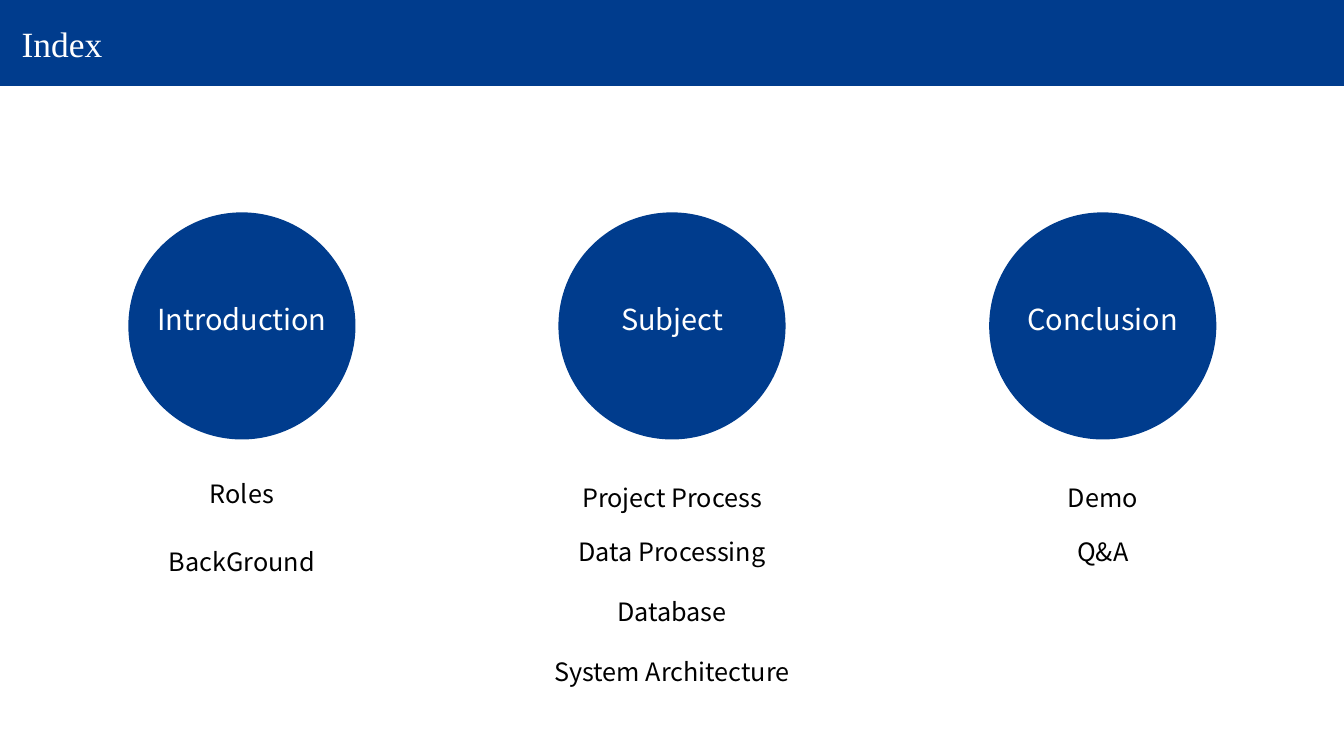
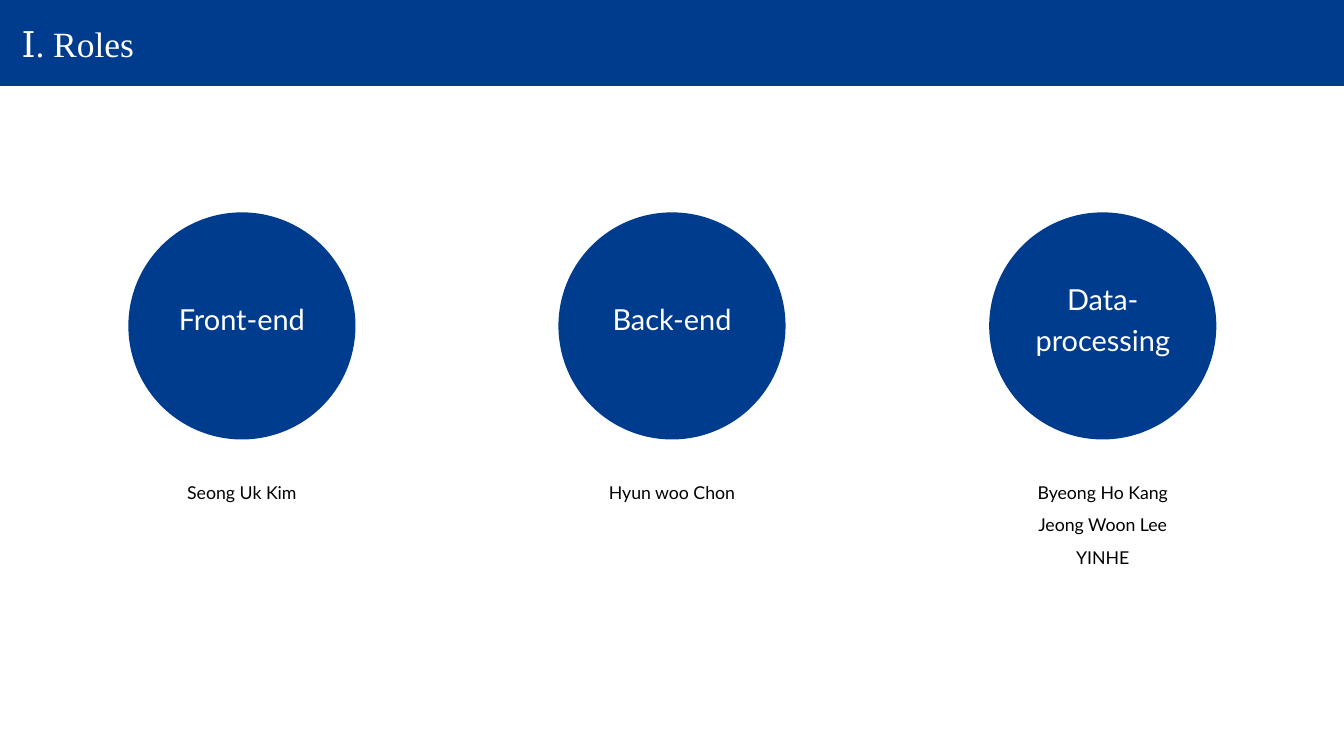
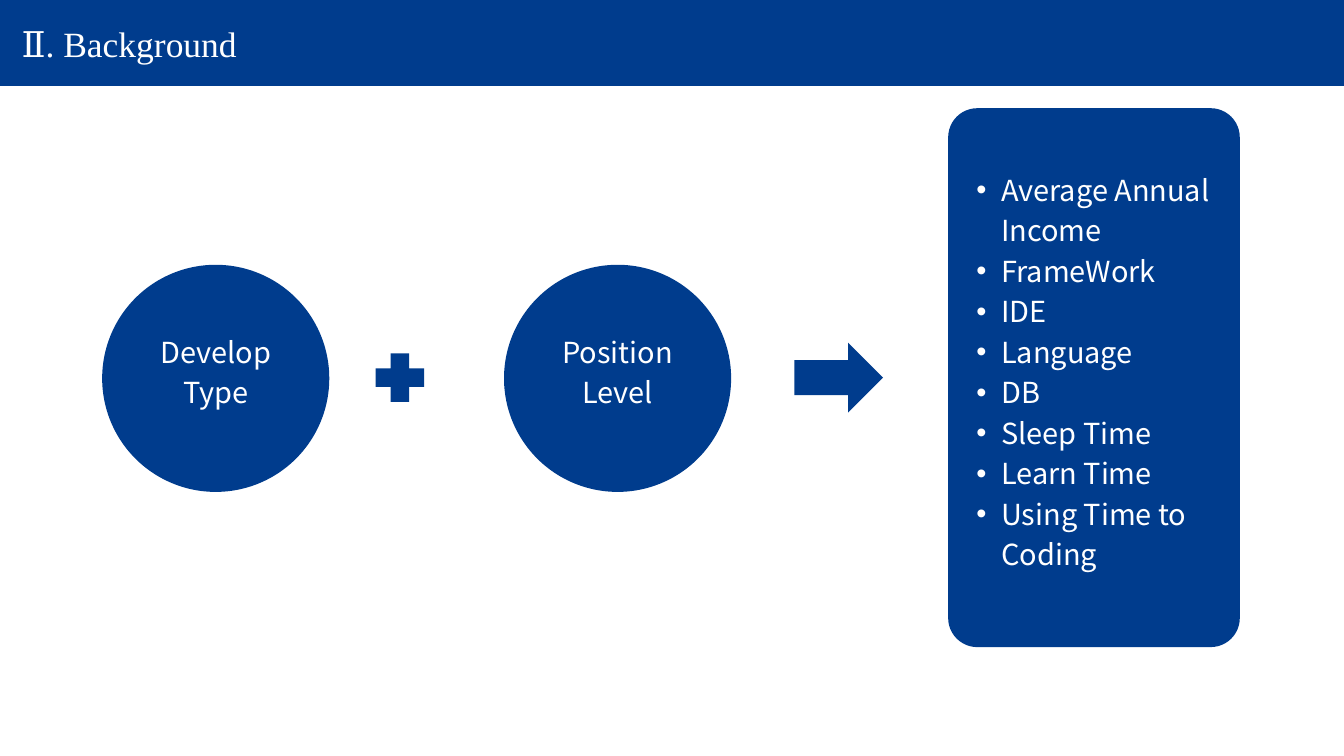
from dataclasses import dataclass

from lxml.etree import SubElement
from pptx import Presentation
from pptx.dml.color import RGBColor
from pptx.enum.shapes import MSO_SHAPE
from pptx.enum.text import MSO_ANCHOR, MSO_AUTO_SIZE, PP_ALIGN
from pptx.oxml.ns import qn
from pptx.util import Pt

PX = 9144
SLIDE_W, SLIDE_H = 2000, 1125
COLORS = {"blue": "003C8D", "white": "FFFFFF", "black": "000000"}
SANS, LATO, SERIF = "Noto Sans CJK KR", "Lato", "Times New Roman"
DISC = 338
DISC_TOP = 316
COLUMNS = [191, 831, 1472]
BULLET_MARGIN, BULLET_HANG = 73, 37


@dataclass(frozen=True)
class Style:
    """Look of a text: font, size in points, line pitch, colour, alignment."""
    font: str
    size: int
    pitch: float
    color: str
    align: PP_ALIGN = PP_ALIGN.CENTER


@dataclass(frozen=True)
class Box:
    """Rectangle in px."""
    x: int
    y: int
    w: int
    h: int


@dataclass(frozen=True)
class Label:
    """Line of text under a disc."""
    text: str
    y: int
    w: int = DISC


@dataclass(frozen=True)
class Topic:
    """Disc title with the labels below it."""
    title: str
    labels: list[Label]


TITLE = Style(SERIF, 38, 53.2, "white", PP_ALIGN.LEFT)
DISC_SANS = Style(SANS, 31, 43.4, "white")
DISC_LATO = Style(LATO, 31, 43.4, "white")
LIST = Style(SANS, 31, 43.4, "white", PP_ALIGN.LEFT)
ITEM = Style(SANS, 27, 37.8, "black")
NAME = Style(LATO, 19, 26.6, "black")

INDEX = [
    Topic("Introduction", [Label("Roles", 704), Label("BackGround", 805)]),
    Topic("Subject", [Label("Project Process", 710), Label("Data Processing", 791),
                      Label("Database", 880), Label("System Architecture", 969, 376)]),
    Topic("Conclusion", [Label("Demo", 710), Label("Q&A", 791)]),
]
ROLES = [
    Topic("Front-end", [Label("Seong Uk Kim", 711)]),
    Topic("Back-end", [Label("Hyun woo Chon", 711)]),
    Topic("Data-processing", [Label("Byeong Ho Kang", 711), Label("Jeong Woon Lee", 760),
                              Label("YINHE", 809)]),
]
FACTORS = ["Average Annual Income", "FrameWork", "IDE", "Language", "DB",
           "Sleep Time", "Learn Time", "Using Time to Coding"]


def emu(box: Box) -> list[int]:
    """Convert a box to EMU."""
    return [v * PX for v in (box.x, box.y, box.w, box.h)]


def add_blue(s, kind: MSO_SHAPE, box: Box, adjust: float | None = None) -> None:
    """Draw a plain blue preset shape."""
    sp = s.shapes.add_shape(kind, *emu(box))
    sp.shadow.inherit = False
    sp.fill.solid()
    sp.fill.fore_color.rgb = RGBColor.from_string(COLORS["blue"])
    sp.line.fill.background()
    if adjust is not None:
        sp.adjustments[0] = adjust


def add_bullet(p) -> None:
    """Turn a paragraph into a second-level bullet with a hanging indent."""
    p.level = 1
    pPr = p._p.get_or_add_pPr()
    pPr.set("marL", str(BULLET_MARGIN * PX))
    pPr.set("indent", str(-BULLET_HANG * PX))
    SubElement(pPr, qn("a:buFont")).set("typeface", "Arial")
    SubElement(pPr, qn("a:buChar")).set("char", "•")


def add_text(s, box: Box, lines: list[str], style: Style,
             inset: int = 0, bullets: bool = False) -> None:
    """Add a text box; an inset box is centred vertically, others grow."""
    tf = s.shapes.add_textbox(*emu(box)).text_frame
    tf.word_wrap = True
    tf.margin_left = tf.margin_right = tf.margin_top = tf.margin_bottom = inset * PX
    if inset:
        tf.vertical_anchor = MSO_ANCHOR.MIDDLE
    else:
        tf.auto_size = MSO_AUTO_SIZE.SHAPE_TO_FIT_TEXT
    for i, line in enumerate(lines):
        p = tf.add_paragraph() if i else tf.paragraphs[0]
        p.alignment = style.align
        p.line_spacing = Pt(style.pitch)
        if bullets:
            add_bullet(p)
        r = p.add_run()
        r.text = line
        r.font.size = Pt(style.size)
        r.font.color.rgb = RGBColor.from_string(COLORS[style.color])
        r.font.name = style.font
        SubElement(r._r.get_or_add_rPr(), qn("a:ea")).set("typeface", style.font)


def add_disc(s, x: int, y: int, lines: list[str], style: Style) -> None:
    """Draw a blue disc with its caption."""
    add_blue(s, MSO_SHAPE.OVAL, Box(x, y, DISC, DISC))
    add_text(s, Box(x + 32, y + 4, 274, 302), lines, style, inset=6)


def add_slide(prs, title: str):
    """Add a blank slide with the title band."""
    s = prs.slides.add_slide(prs.slide_layouts[6])
    add_blue(s, MSO_SHAPE.RECTANGLE, Box(0, 0, SLIDE_W, 128))
    add_text(s, Box(32, 22, 1298, 79), [title], TITLE)
    return s


def add_topics(prs, title: str, topics: list[Topic], disc: Style, label: Style) -> None:
    """Add a slide with one disc and its labels per column."""
    s = add_slide(prs, title)
    for x, topic in zip(COLUMNS, topics):
        add_disc(s, x, DISC_TOP, [topic.title], disc)
        for item in topic.labels:
            left = x - (item.w - DISC) // 2
            height = round(label.size * 1.9)
            add_text(s, Box(left, item.y, item.w, height), [item.text], label)


def add_background(prs) -> None:
    """Add the slide that combines two inputs into a list of factors."""
    s = add_slide(prs, "Ⅱ. Background")
    add_disc(s, 152, 394, ["Develop", "Type"], DISC_SANS)
    add_blue(s, MSO_SHAPE.CROSS, Box(559, 526, 72, 72), 0.31)
    add_disc(s, 750, 394, ["Position", "Level"], DISC_SANS)
    add_blue(s, MSO_SHAPE.ROUNDED_RECTANGLE, Box(1411, 161, 434, 802), 0.1)
    add_text(s, Box(1411, 134, 434, 830), FACTORS, LIST, inset=6, bullets=True)
    add_blue(s, MSO_SHAPE.RIGHT_ARROW, Box(1182, 510, 132, 104))


def main() -> None:
    """Build the three slides."""
    prs = Presentation()
    prs.slide_width, prs.slide_height = SLIDE_W * PX, SLIDE_H * PX
    add_topics(prs, "Index", INDEX, DISC_SANS, ITEM)
    add_topics(prs, "Ⅰ. Roles", ROLES, DISC_LATO, NAME)
    add_background(prs)
    prs.save("out.pptx")


if __name__ == "__main__":
    main()
